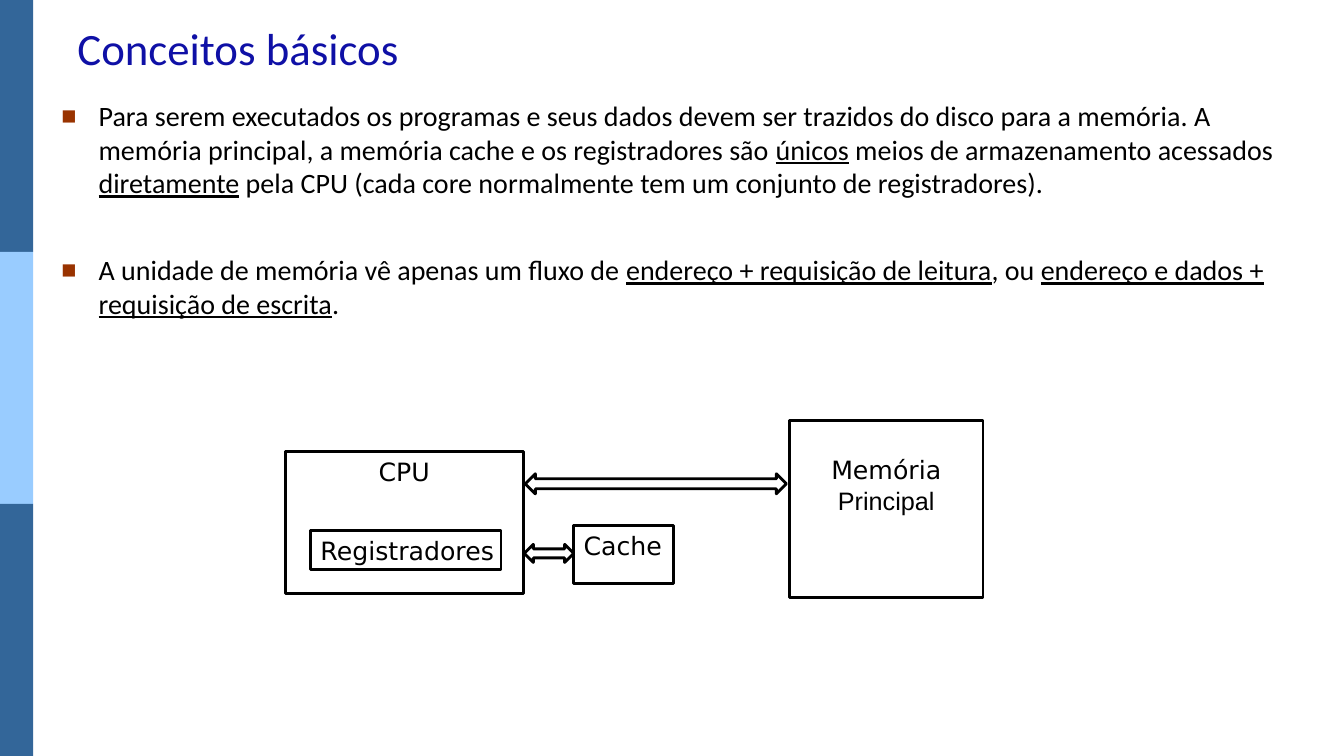
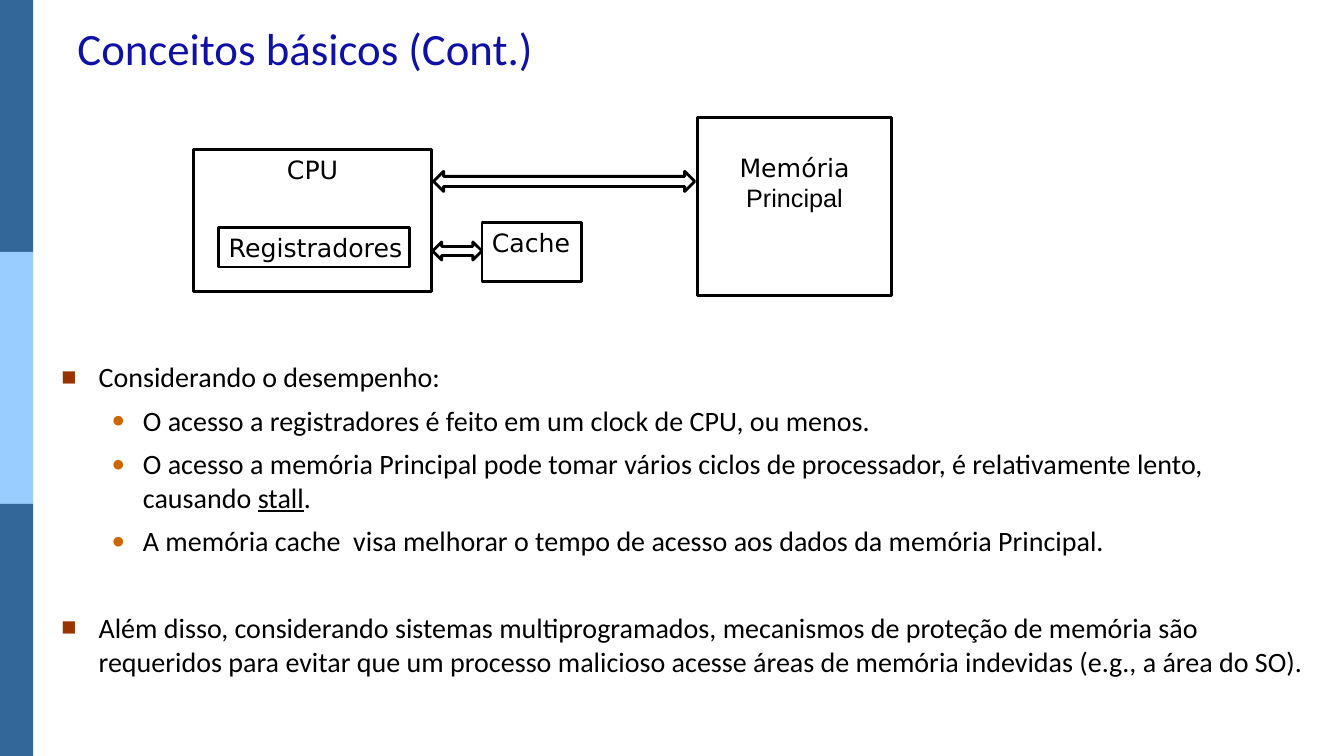
from pptx import Presentation
from pptx.dml.color import RGBColor
from pptx.enum.shapes import MSO_SHAPE as SHAPE
from pptx.enum.text import MSO_ANCHOR as ANCHOR, PP_ALIGN as ALIGN
from pptx.oxml.ns import qn
from pptx.util import Inches, Pt
from lxml import etree

COLORS = {
    "band": "336699", "band_light": "99CCFF", "title": "0F10A6",
    "text": "000000", "white": "FFFFFF",
    "square": "993300", "dot": "CC6600",
}
BODY_FONT, LABEL_FONT = "Calibri", "DejaVu Sans"

# Per level: text indent, hanging width, bullet sign, colour, size in percent
BULLETS = [(0.37, 0.37, "■", "square", 90), (0.81, 0.31, "●", "dot", 80)]
GAP, WIDE_GAP = 7, 38  # points before a bullet, and before a new topic

# Underlined words stand between underscores; each item is level, gap, text
SLIDES = [
    {
        "title": "Conceitos básicos",
        "body_top": 0.93,
        "diagram": (2.83, 4.48),
        "body": [
            (0, 0, "Para serem executados os programas e seus dados devem ser "
                   "trazidos do disco para a memória. A memória principal, a "
                   "memória cache e os registradores são _únicos_ meios de "
                   "armazenamento acessados _diretamente_ pela CPU (cada core "
                   "normalmente tem um conjunto de registradores)."),
            (0, WIDE_GAP, "A unidade de memória vê apenas um fluxo de "
                          "_endereço + requisição de leitura_, ou "
                          "_endereço e dados + requisição de escrita_."),
        ],
    },
    {
        "title": "Conceitos básicos (Cont.)",
        "body_top": 3.52,
        "diagram": (1.92, 1.48),
        "body": [
            (0, 0, "Considerando o desempenho:"),
            (1, GAP, "O acesso a registradores é feito em um clock de CPU, ou menos."),
            (1, GAP, "O acesso a memória Principal pode tomar vários ciclos de "
                     "processador, é relativamente lento, causando _stall_."),
            (1, GAP, "A memória cache  visa melhorar o tempo de acesso aos "
                     "dados da memória Principal."),
            (0, WIDE_GAP, "Além disso, considerando sistemas multiprogramados, "
                          "mecanismos de proteção de memória são requeridos para "
                          "evitar que um processo malicioso acesse áreas de "
                          "memória indevidas (e.g., a área do SO)."),
        ],
    },
]

# Diagram parts, placed from the top left corner of the CPU box:
# preset, left, top, width, height, top inset, alignment, lines (text, font)
DIAGRAM = [
    (SHAPE.RECTANGLE, 0, 0, 2.36, 1.41, 0.05, ALIGN.CENTER, [("CPU", LABEL_FONT)]),
    (SHAPE.RECTANGLE, 0.25, 0.78, 1.89, 0.39, 0.05, ALIGN.LEFT,
     [("Registradores", LABEL_FONT)]),
    (SHAPE.RECTANGLE, 2.86, 0.73, 0.99, 0.58, 0.05, ALIGN.LEFT, [("Cache", LABEL_FONT)]),
    (SHAPE.RECTANGLE, 5, -0.31, 1.92, 1.76, 0.34, ALIGN.CENTER,
     [("Memória", LABEL_FONT), ("Principal", "Arial")]),
    (SHAPE.LEFT_RIGHT_ARROW, 2.38, 0.22, 2.59, 0.2, 0, ALIGN.LEFT, []),
    (SHAPE.LEFT_RIGHT_ARROW, 2.37, 0.92, 0.49, 0.18, 0, ALIGN.LEFT, []),
]


def add_text(tf, text, size=20, font=BODY_FONT, color="text", align=ALIGN.LEFT,
             before=0, level=None):
    """Write one paragraph; a level gives it a bullet."""
    p = tf.paragraphs[0]
    if p.runs:
        p = tf.add_paragraph()
    p.alignment, p.space_before = align, Pt(before)
    for i, part in enumerate(text.split("_")):
        if part:
            r = p.add_run()
            r.text = part
            r.font.size, r.font.name = Pt(size), font
            r.font.color.rgb = RGBColor.from_string(COLORS[color])
            if i % 2:
                r.font.underline = True
    if level is not None:
        indent, hang, sign, bullet_color, percent = BULLETS[level]
        pPr = p._p.get_or_add_pPr()
        pPr.set("marL", str(Inches(indent)))
        pPr.set("indent", str(-Inches(hang)))
        if level:
            p.level = level
        buClr = etree.SubElement(pPr, qn("a:buClr"))
        etree.SubElement(buClr, qn("a:srgbClr"), val=COLORS[bullet_color])
        etree.SubElement(pPr, qn("a:buSzPct"), val=str(percent * 1000))
        etree.SubElement(pPr, qn("a:buFont"), typeface="Arial")
        etree.SubElement(pPr, qn("a:buChar"), char=sign)


def add_box(s, preset, left, top, width, height, fill, line=None):
    sp = s.shapes.add_shape(preset, Inches(left), Inches(top), Inches(width), Inches(height))
    sp.shadow.inherit = False
    sp.fill.solid()
    sp.fill.fore_color.rgb = RGBColor.from_string(COLORS[fill])
    if line:
        sp.line.color.rgb = RGBColor.from_string(COLORS[line])
        sp.line.width = Pt(2)
    else:
        sp.line.fill.background()
    return sp


prs = Presentation()
prs.slide_width, prs.slide_height = Inches(13.33), Inches(7.5)

for content in SLIDES:
    s = prs.slides.add_slide(prs.slide_layouts[6])

    # Side bands
    for i, fill in enumerate(["band", "band_light", "band"]):
        add_box(s, SHAPE.RECTANGLE, 0, i * 2.5, 0.33, 2.5, fill)

    # Title
    tf = s.shapes.add_textbox(Inches(0.67), Inches(0.16), Inches(12), Inches(0.63)).text_frame
    tf.word_wrap, tf.vertical_anchor = True, ANCHOR.BOTTOM
    add_text(tf, content["title"], size=32, color="title")

    # Bulleted body
    top = content["body_top"]
    tf = s.shapes.add_textbox(Inches(0.51), Inches(top), Inches(12.6), Inches(7.4 - top)).text_frame
    tf.word_wrap = True
    for level, before, text in content["body"]:
        add_text(tf, text, before=before, level=level)

    # Memory diagram
    x, y = content["diagram"]
    for preset, left, top, width, height, inset, align, lines in DIAGRAM:
        sp = add_box(s, preset, x + left, y + top, width, height, "white", line="text")
        tf = sp.text_frame
        tf.word_wrap, tf.vertical_anchor = False, ANCHOR.TOP
        tf.margin_top = Inches(inset)
        for text, font in lines:
            add_text(tf, text, size=18, font=font, align=align)

prs.save("out.pptx")
